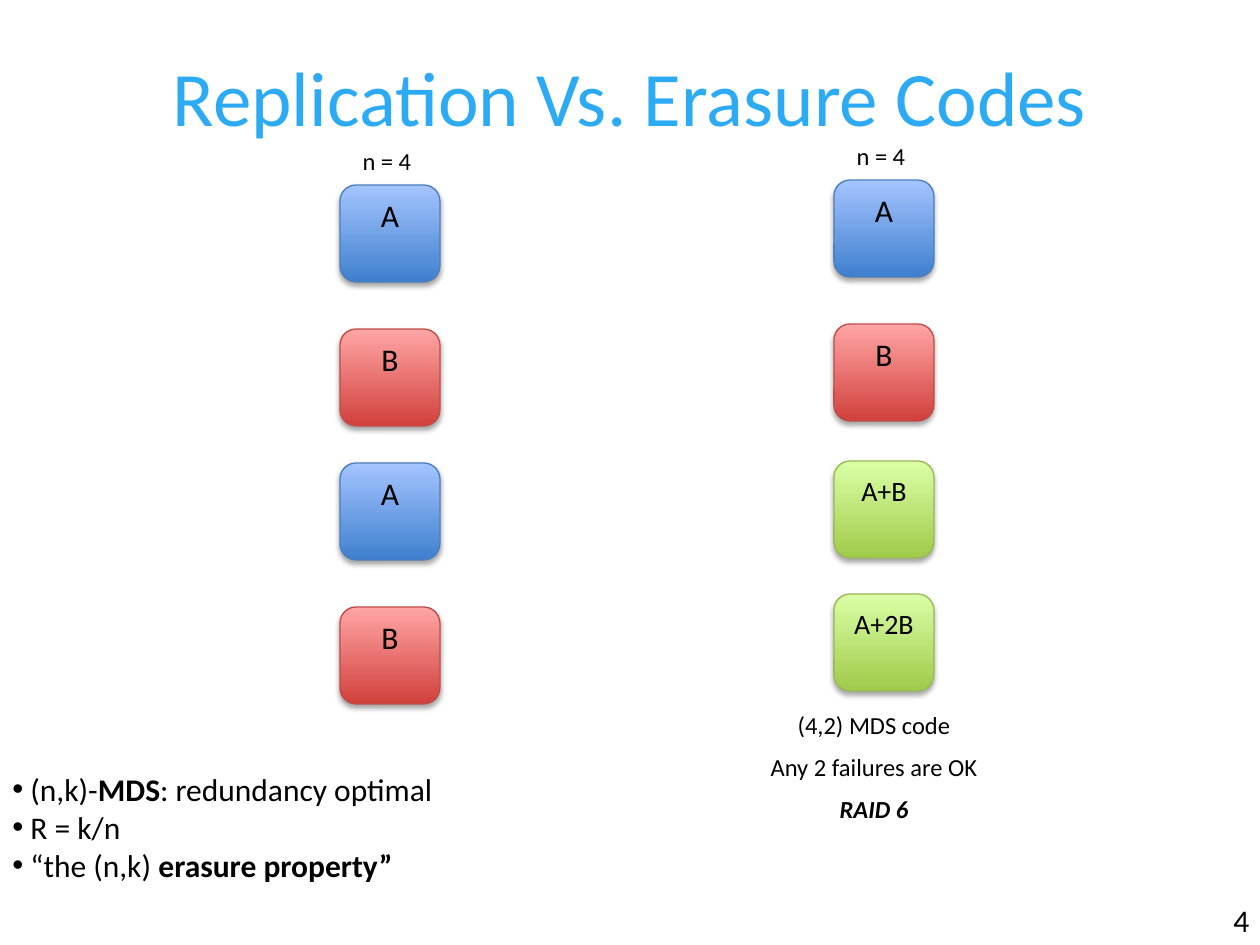
from lxml import etree
from pptx import Presentation
from pptx import util as u
from pptx.dml.color import RGBColor
from pptx.enum import shapes, text
from pptx.oxml import ns

SCALE = 914400 / 126
FONT = "Calibri"
BLACK = RGBColor(0x00, 0x00, 0x00)
TITLE_BLUE = RGBColor(0x2D, 0xAA, 0xF4)
BLUE = (RGBColor(0x3F, 0x80, 0xCE), RGBColor(0xA4, 0xC4, 0xFF), RGBColor(0x4B, 0x7E, 0xBC))
RED = (RGBColor(0xD1, 0x40, 0x3C), RGBColor(0xFF, 0xA6, 0xA5), RGBColor(0xBF, 0x4C, 0x48))
GREEN = (RGBColor(0xA0, 0xCA, 0x4A), RGBColor(0xDA, 0xFF, 0xA5), RGBColor(0x98, 0xB9, 0x55))
TILE_WIDTH, TILE_HEIGHT = 100, 97


def px(value):
    return u.Emu(round(value * SCALE))


def format_span(span, size, color=BLACK, bold=False, italic=False):
    span.font.name = FONT
    span.font.size = u.Pt(size)
    span.font.color.rgb = color
    span.font.bold = bold
    span.font.italic = italic


def add_title(page, words):
    title = page.shapes.title
    title.left, title.top, title.width, title.height = map(px, (63, 38, 1134, 158))
    frame = title.text_frame
    frame.text = words
    frame.vertical_anchor = text.MSO_ANCHOR.TOP
    frame.margin_top = px(11)
    para = frame.paragraphs[0]
    para.alignment = text.PP_ALIGN.CENTER
    format_span(para.runs[0], 44, TITLE_BLUE)


def add_text(parent, left, top, width, height, lines, size, align, wrap=True, gap=0):
    box = parent.add_textbox(*map(px, (left, top, width, height)))
    frame = box.text_frame
    frame.word_wrap = wrap
    for index, line in enumerate(lines):
        para = frame.add_paragraph() if index else frame.paragraphs[0]
        para.alignment = align
        para.space_before = u.Pt(gap if index else 0)
        for words, style in line:
            span = para.add_run()
            span.text = words
            format_span(span, size, **style)
    return frame


def add_bullets(frame, indent):
    for para in frame.paragraphs:
        properties = para._p.get_or_add_pPr()
        properties.set("marL", str(px(indent)))
        properties.set("indent", str(-px(indent)))
        etree.SubElement(properties, ns.qn("a:buFont"), typeface="Arial")
        etree.SubElement(properties, ns.qn("a:buChar"), char="•")


def add_shadow(shape):
    shape.shadow.inherit = False
    effects = shape._element.spPr.find(ns.qn("a:effectLst"))
    shadow = etree.SubElement(effects, ns.qn("a:outerShdw"), blurRad=str(u.Pt(3.1)),
                              dist=str(u.Pt(1.8)), dir="5400000", rotWithShape="0")
    color = etree.SubElement(shadow, ns.qn("a:srgbClr"), val="000000")
    etree.SubElement(color, ns.qn("a:alpha"), val="35000")


def add_tile(parent, left, top, words, size, colors):
    tile = parent.add_shape(shapes.MSO_SHAPE.ROUNDED_RECTANGLE,
                            *map(px, (left, top, TILE_WIDTH, TILE_HEIGHT)))
    dark, light, outline = colors
    tile.fill.gradient()
    tile.fill.gradient_angle = 90
    for stop, color, position in zip(tile.fill.gradient_stops, (dark, light), (0, 1)):
        stop.color.rgb = color
        stop.position = position
    tile.line.color.rgb = outline
    tile.line.width = u.Pt(0.75)
    add_shadow(tile)
    frame = tile.text_frame
    frame.text = words
    frame.vertical_anchor = text.MSO_ANCHOR.MIDDLE
    frame.margin_left = frame.margin_right = px(6)
    frame.margin_bottom = px(44)
    para = frame.paragraphs[0]
    para.alignment = text.PP_ALIGN.CENTER
    format_span(para.runs[0], size)


def add_column(page, left, top, tiles):
    group = page.shapes.add_group_shape().shapes
    add_text(group, left - 36, top - 45, 166, 43, [[("n = 4", {})]], 14,
             text.PP_ALIGN.CENTER)
    for offset, words, size, colors in tiles:
        add_tile(group, left, top + offset, words, size, colors)


def main():
    deck = Presentation()
    deck.slide_width, deck.slide_height = px(1260), px(945)
    page = deck.slides.add_slide(deck.slide_layouts[5])
    add_title(page, "Replication Vs. Erasure Codes")

    originals = [(0, "A", 18, BLUE), (144, "B", 18, RED)]
    replicas = [(278, "A", 18, BLUE), (422, "B", 18, RED)]
    parities = [(281, "A+B", 16, GREEN), (414, "A+2B", 16, GREEN)]
    add_column(page, 834, 180, originals + parities)
    add_column(page, 340, 185, originals + replicas)

    bold = {"bold": True}
    add_text(page.shapes, 740, 704, 268, 131,
             [[("(4,2) MDS code", {})],
              [("Any 2 failures are OK", {})],
              [("RAID 6", {"bold": True, "italic": True})]],
             14, text.PP_ALIGN.CENTER, gap=7)
    facts = add_text(page.shapes, 0, 764, 446, 128,
                     [[("(n,k)-", {}), ("MDS", bold), (": redundancy optimal", {})],
                      [("R = k/n", {})],
                      [("“the (n,k) ", {}), ("erasure property”", bold)]],
                     18, text.PP_ALIGN.LEFT, wrap=False)
    add_bullets(facts, 18)
    add_text(page.shapes, 1221, 895, 39, 50, [[("4", {})]], 18,
             text.PP_ALIGN.LEFT, wrap=False)
    deck.save("out.pptx")


main()
